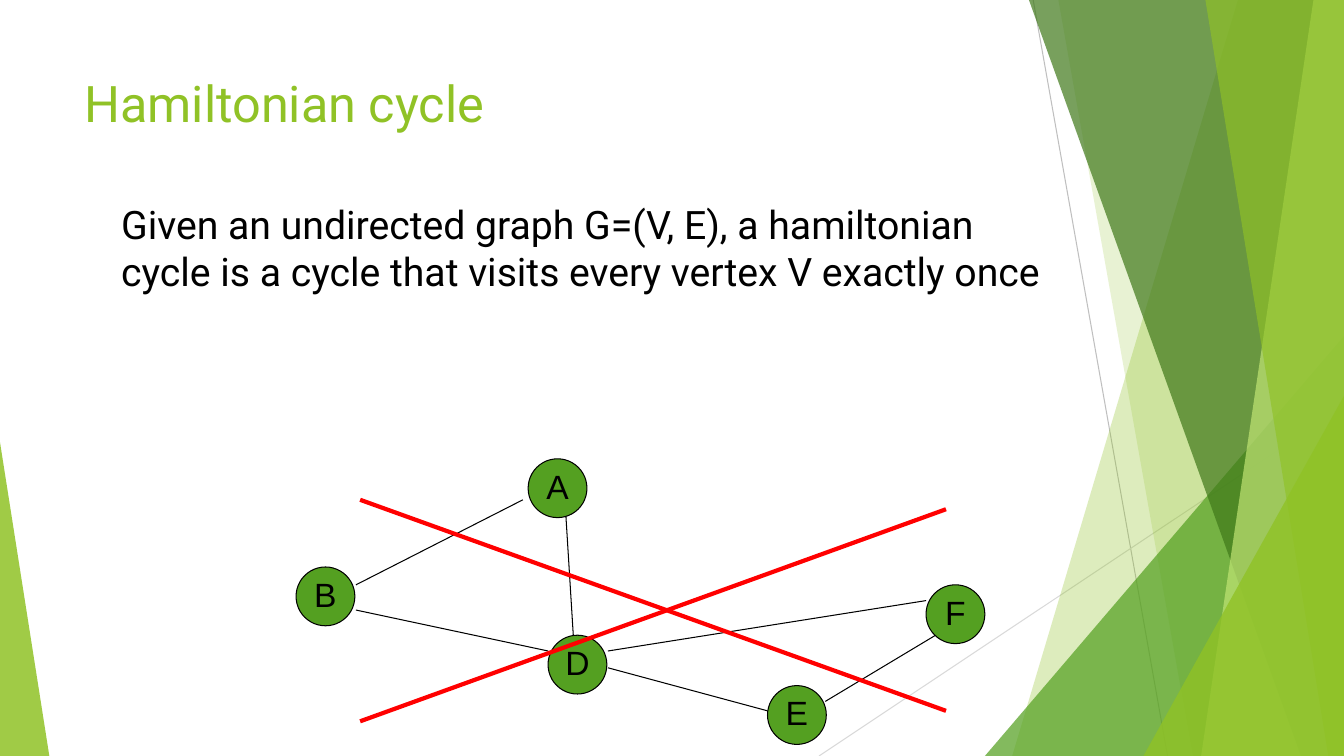
from dataclasses import dataclass
from typing import NamedTuple

from lxml.etree import SubElement
from pptx import Presentation
from pptx.dml.color import RGBColor
from pptx.enum.shapes import MSO_CONNECTOR, MSO_SHAPE
from pptx.enum.text import MSO_ANCHOR, PP_ALIGN
from pptx.oxml.ns import qn
from pptx.util import Pt

PX = 9525


@dataclass(frozen=True)
class Theme:
    lime: str = "90C226"
    green: str = "54A021"
    forest: str = "3F7819"
    pale: str = "C0E474"
    black: str = "000000"
    red: str = "FF0000"
    gray: str = "BFBFBF"
    light_gray: str = "D9D9D9"
    text_font: str = "Roboto"
    node_font: str = "Arial"
    title_size: int = 36
    body_size: int = 28
    node_size: int = 24
    thin: float = 0.75
    thick: float = 3


class Box(NamedTuple):
    left: int
    top: int
    width: int
    height: int

    def inner(self, x, y, width, height):
        return Box(self.left + x, self.top + y, width, height)

    def emu(self):
        return [value * PX for value in self]


THEME = Theme()
NODE_DIAMETER = 56
NODES = {"A": (221, 0), "B": (0, 103), "E": (449, 216), "D": (240, 168), "F": (600, 120)}
EDGES = [
    (57, 120, 216, 39),
    (57, 144, 240, 183),
    (264, 168, 257, 55),
    (297, 199, 449, 240),
    (504, 231, 609, 168),
    (297, 183, 600, 135),
]
CROSS = [(61, 39, 619, 240), (61, 250, 619, 48)]


def paint(shape, color, opacity=100):
    shape.shadow.inherit = False
    shape.fill.solid()
    shape.fill.fore_color.rgb = RGBColor.from_string(color)
    shape.line.fill.background()
    if opacity < 100:
        color_element = shape.fill._xPr.find(qn("a:solidFill"))[0]
        SubElement(color_element, qn("a:alpha")).set("val", str(opacity * 1000))


def add_line(slide, box, ends, color, width):
    x1, y1, x2, y2 = ends
    line = slide.shapes.add_connector(
        MSO_CONNECTOR.STRAIGHT,
        (box.left + x1) * PX, (box.top + y1) * PX,
        (box.left + x2) * PX, (box.top + y2) * PX,
    )
    line.line.color.rgb = RGBColor.from_string(color)
    line.line.width = Pt(width)
    SubElement(line._element.spPr, qn("a:effectLst"))


def add_triangle(slide, box, apex, color, opacity):
    triangle = slide.shapes.add_shape(MSO_SHAPE.ISOSCELES_TRIANGLE, *box.emu())
    triangle.adjustments[0] = apex
    paint(triangle, color, opacity)


def add_facet(slide, box, top_x, bottom_x, color, opacity):
    right, bottom = box.left + box.width, box.top + box.height
    builder = slide.shapes.build_freeform(box.left + top_x, box.top, scale=PX)
    builder.add_line_segments(
        [(right, box.top), (right, bottom), (box.left + bottom_x, bottom)], close=True
    )
    paint(builder.convert_to_shape(), color, opacity)


def add_right_facets(slide, box):
    add_line(slide, box, (204, 0, 332, box.height), THEME.gray, THEME.thin)
    add_line(slide, box, (box.width, 387, 0, box.height), THEME.light_gray, THEME.thin)
    add_facet(slide, box, 399, 184, THEME.lime, 30)
    add_facet(slide, box, 228, 356, THEME.lime, 20)
    add_triangle(slide, box.inner(158, 320, 342, 400), 1, THEME.green, 72)
    add_facet(slide, box, 200, 459, THEME.forest, 70)
    add_facet(slide, box, 471, 364, THEME.pale, 70)
    add_facet(slide, box, 368, 485, THEME.lime, 65)
    add_triangle(slide, box.inner(309, 377, 191, 343), 1, THEME.lime, 80)


def format_text(paragraph, font_name, size, color):
    font = paragraph.runs[0].font
    font.name = font_name
    font.size = Pt(size)
    font.color.rgb = RGBColor.from_string(color)


def add_text(slide, box, text, size, color):
    frame = slide.shapes.add_textbox(*box.emu()).text_frame
    frame.word_wrap = True
    frame.text = text
    format_text(frame.paragraphs[0], THEME.text_font, size, color)


def add_node(slide, box, label):
    node = slide.shapes.add_shape(MSO_SHAPE.OVAL, *box.emu())
    paint(node, THEME.green)
    node.line.color.rgb = RGBColor.from_string(THEME.black)
    node.line.width = Pt(THEME.thin)
    frame = node.text_frame
    frame.margin_left = frame.margin_right = frame.margin_top = 0
    frame.margin_bottom = 5 * PX
    frame.vertical_anchor = MSO_ANCHOR.MIDDLE
    frame.word_wrap = False
    frame.text = label
    paragraph = frame.paragraphs[0]
    paragraph.alignment = PP_ALIGN.CENTER
    format_text(paragraph, THEME.node_font, THEME.node_size, THEME.black)


def add_crossed_graph(slide, box):
    for label, (x, y) in NODES.items():
        add_node(slide, box.inner(x, y, NODE_DIAMETER, NODE_DIAMETER), label)
    for ends in EDGES:
        add_line(slide, box, ends, THEME.black, THEME.thin)
    for ends in CROSS:
        add_line(slide, box, ends, THEME.red, THEME.thick)


def main():
    presentation = Presentation()
    presentation.slide_width = 1280 * PX
    presentation.slide_height = 720 * PX
    slide = presentation.slides.add_slide(presentation.slide_layouts[6])
    add_right_facets(slide, Box(780, 0, 500, 720))
    add_triangle(slide, Box(0, 421, 47, 299), 0, THEME.lime, 85)
    add_text(slide, Box(71, 64, 902, 138), "Hamiltonian cycle", THEME.title_size, THEME.lime)
    add_text(
        slide,
        Box(106, 186, 905, 145),
        "Given an undirected graph G=(V, E), a hamiltonian cycle is a cycle "
        "that visits every vertex V exactly once",
        THEME.body_size,
        THEME.black,
    )
    add_crossed_graph(slide, Box(282, 437, 656, 272))
    presentation.save("out.pptx")


if __name__ == "__main__":
    main()
